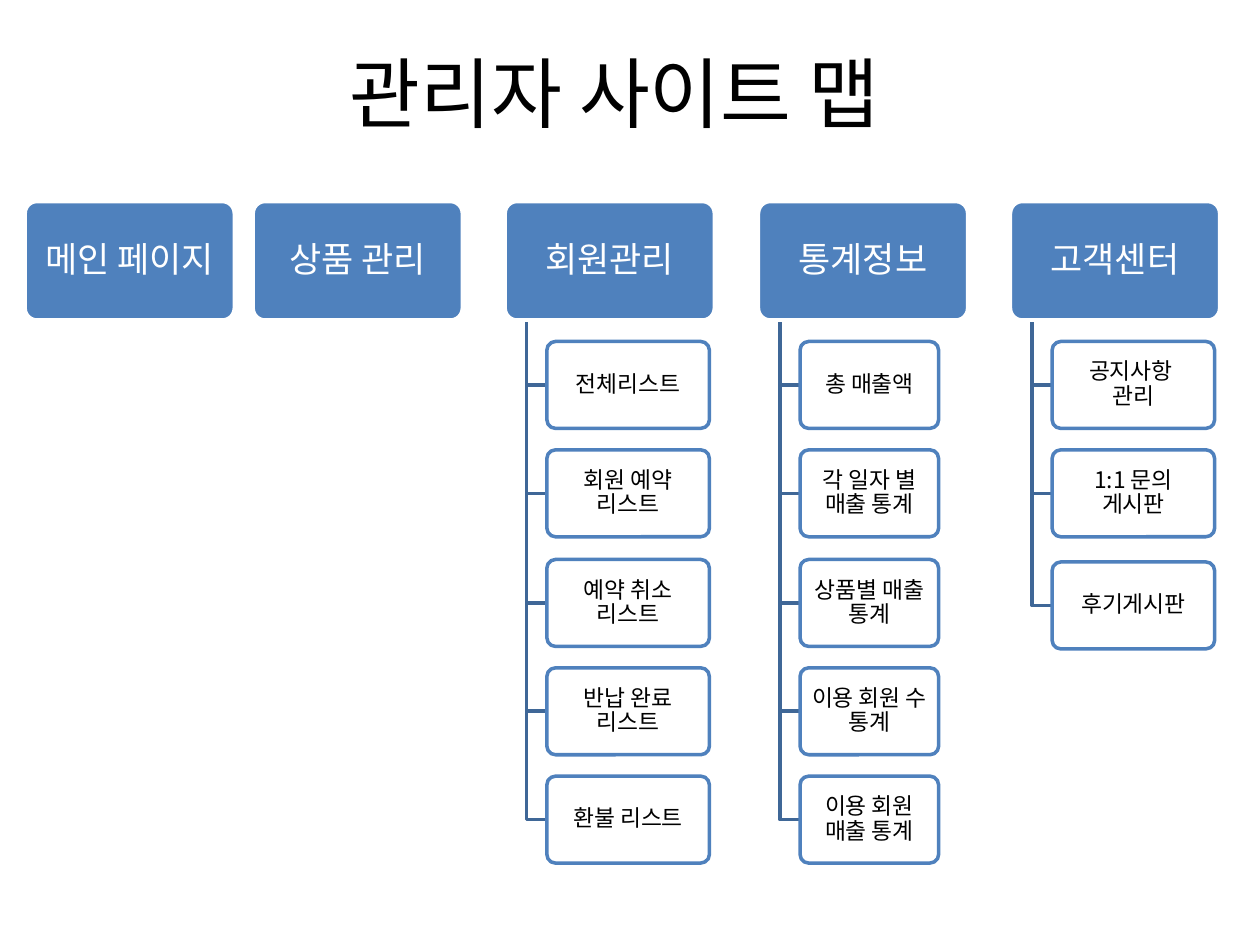
import pptx
import pptx.dml.color
import pptx.enum.shapes
import pptx.enum.text
import pptx.oxml
import pptx.oxml.ns
import pptx.util
from pptx.util import Inches

FONT = "Noto Sans CJK KR"
BLUE, LINE_BLUE, WHITE, BLACK = "4F81BD", "3F6797", "FFFFFF", "000000"


def rgb(value):
    return pptx.dml.color.RGBColor.from_string(value)


def write(sp, text, size=13, color=BLACK, spacing=0.9, inset_x=0.06, inset_y=0.04):
    tf = sp.text_frame
    tf.word_wrap = True
    tf.auto_size = pptx.enum.text.MSO_AUTO_SIZE.NONE
    tf.vertical_anchor = pptx.enum.text.MSO_ANCHOR.MIDDLE
    tf.margin_left = tf.margin_right = Inches(inset_x)
    tf.margin_top = tf.margin_bottom = Inches(inset_y)
    p = tf.paragraphs[0]
    p.text = text
    p.alignment = pptx.enum.text.PP_ALIGN.CENTER
    p.line_spacing = spacing
    for r in p.runs:
        r.font.size = pptx.util.Pt(size)
        r.font.name = FONT
        r.font.color.rgb = rgb(color)
        ea = pptx.oxml.parse_xml(f'<a:ea {pptx.oxml.ns.nsdecls("a")} typeface="{FONT}"/>')
        r.font._element.find(pptx.oxml.ns.qn("a:latin")).addnext(ea)


prs = pptx.Presentation()
prs.slide_width, prs.slide_height = Inches(10), Inches(7.5)
s = prs.slides.add_slide(prs.slide_layouts[5])

title = s.shapes.title
title.left, title.top = Inches(0.63), Inches(0.29)
title.width, title.height = Inches(8.5), Inches(0.87)
write(title, "관리자 사이트 맵", size=44, spacing=1.0, inset_x=0.1, inset_y=0.05)

HEAD_TOP, HEAD_W, HEAD_H = 1.6, 1.66, 0.94
ITEM_H = 0.69
TRUNK_DX, ITEM_DX = 0.17, 0.33
TOPS = [2.71, 3.57, 4.44, 5.3, 6.16]

columns = [
    (0.2, "메인 페이지", 0, [], TOPS),
    (2.01, "상품 관리", 0, [], TOPS),
    (4.01, "회원관리", 1.29,
     ["전체리스트", "회원 예약\v리스트", "예약 취소\v리스트", "반납 완료\v리스트", "환불 리스트"], TOPS),
    (6.02, "통계정보", 1.1,
     ["총 매출액", "각 일자 별 매출 통계", "상품별 매출 통계", "이용 회원 수 통계",
      "이용 회원 매출 통계"], TOPS),
    (8.02, "고객센터", 1.29, ["공지사항 \v관리", "1:1 문의\v게시판", "후기게시판"], [2.71, 3.57, 4.46]),
]

for x, head, item_w, items, tops in columns:
    boxes = [(head, x, HEAD_TOP, HEAD_W, HEAD_H, BLUE, WHITE, 20, WHITE)]
    for item, top in zip(items, tops):
        boxes.append((item, x + ITEM_DX, top, item_w, ITEM_H, WHITE, BLUE, 13, BLACK))

        trunk_x, mid_y = Inches(x + TRUNK_DX), Inches(top + ITEM_H / 2)
        fb = s.shapes.build_freeform(trunk_x, Inches(HEAD_TOP + HEAD_H))
        fb.add_line_segments([(trunk_x, mid_y), (Inches(x + ITEM_DX), mid_y)], close=False)
        branch = fb.convert_to_shape()
        branch.shadow.inherit = False
        branch.fill.background()
        branch.line.color.rgb = rgb(LINE_BLUE)
        branch.line.width = pptx.util.Pt(2)

    for text, left, top, width, height, fill, line, size, color in boxes:
        sp = s.shapes.add_shape(
            pptx.enum.shapes.MSO_SHAPE.ROUNDED_RECTANGLE,
            Inches(left), Inches(top), Inches(width), Inches(height))
        sp.adjustments[0] = 0.1
        sp.shadow.inherit = False
        sp.fill.solid()
        sp.fill.fore_color.rgb = rgb(fill)
        sp.line.color.rgb = rgb(line)
        sp.line.width = pptx.util.Pt(2)
        write(sp, text, size=size, color=color)

prs.save("out.pptx")
